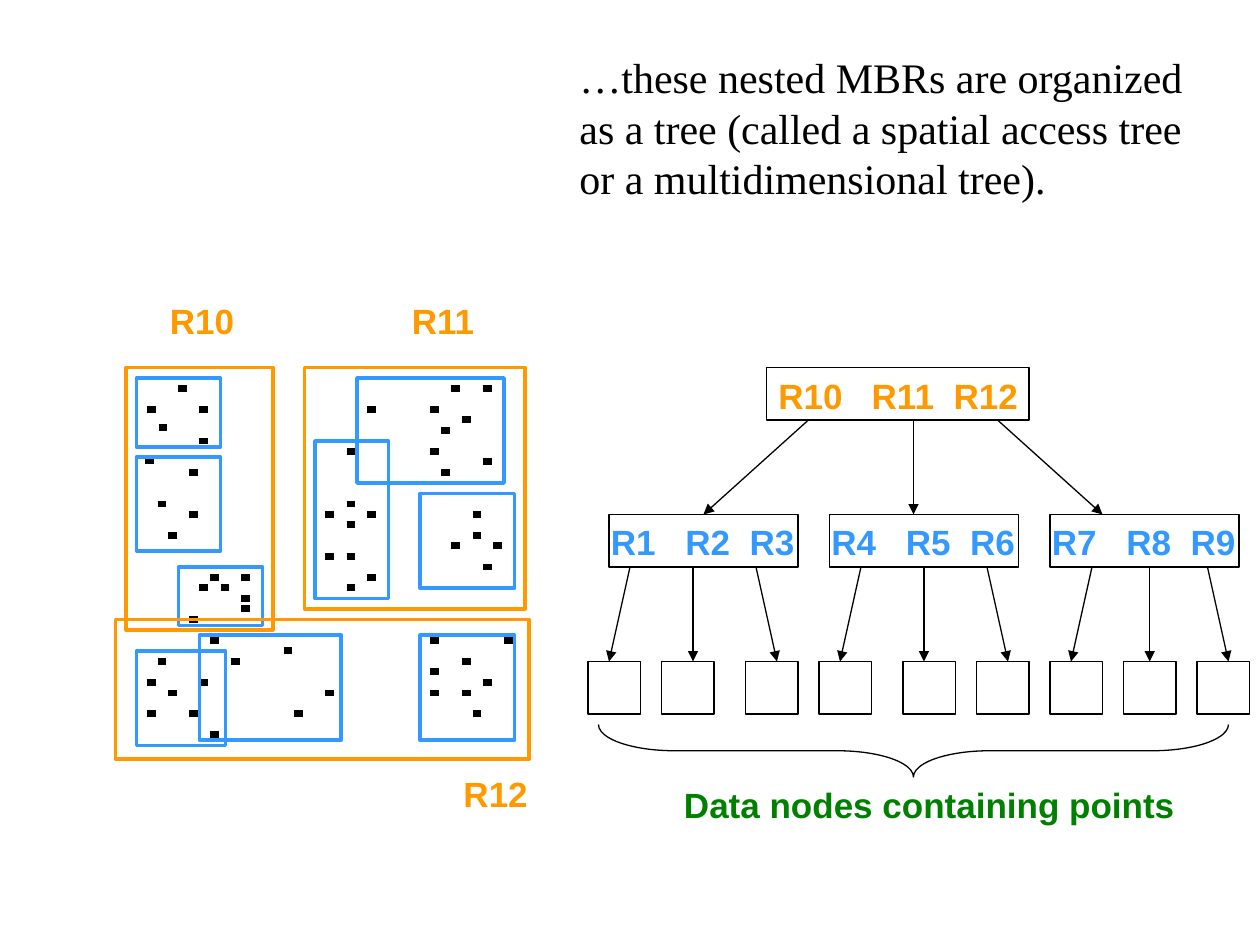
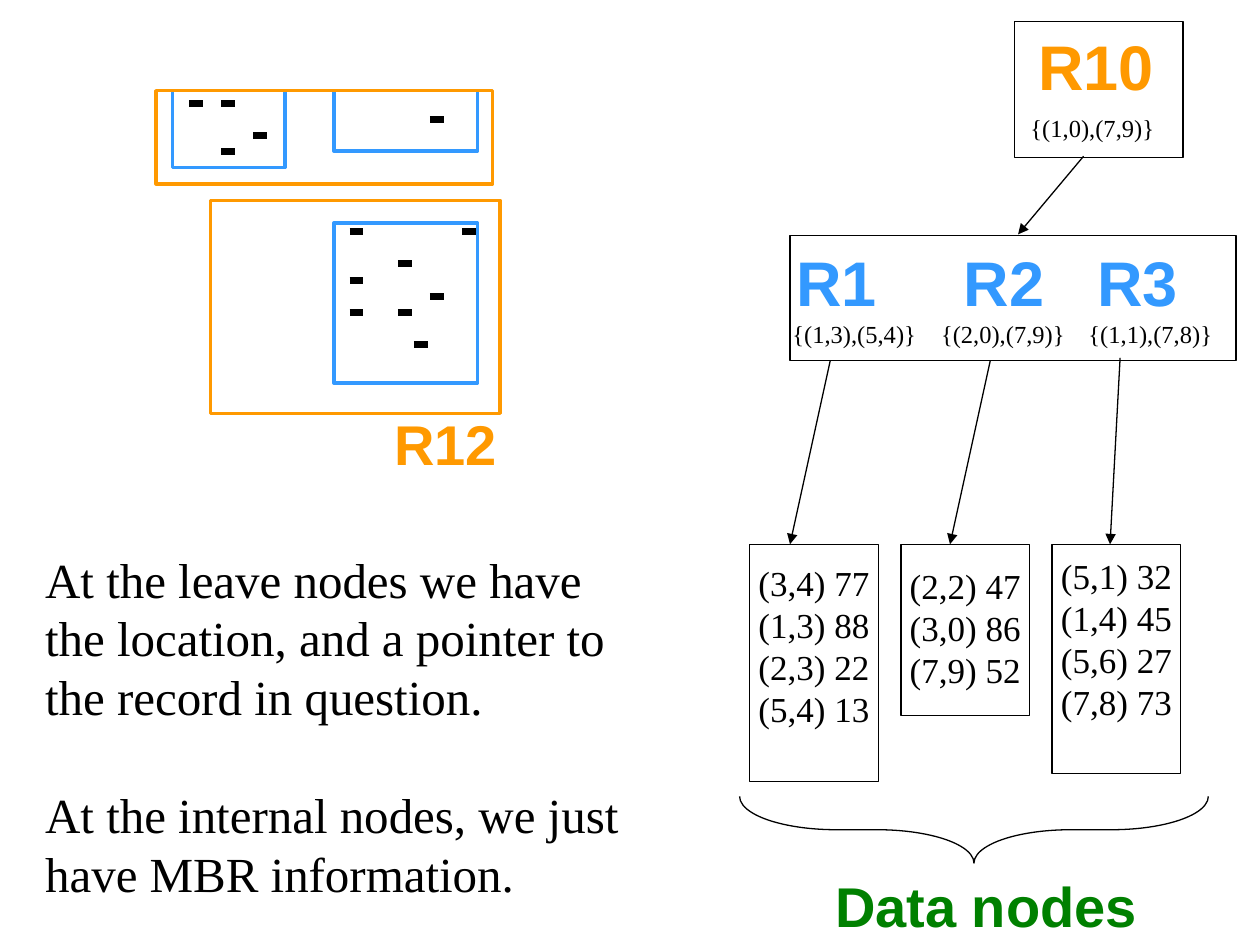
import pptx
import pptx.dml.color
import pptx.enum.shapes
import pptx.enum.text
import pptx.oxml
import pptx.oxml.ns
import pptx.util

SHAPE = pptx.enum.shapes.MSO_SHAPE
ANCHOR = pptx.enum.text.MSO_ANCHOR
CENTER = pptx.enum.text.PP_ALIGN.CENTER
INCH = pptx.util.Inches
ORANGE, BLUE, GREEN, BLACK = "FF9900", "3399FF", "008000", "000000"
SANS, SERIF = "Arial", "Times New Roman"
CELLS_PER_INCH = 12
POINT_STEP = 0.51 / 4

POINT_ROWS = {
    37: [17, 43, 46], 39: [14, 19, 35, 41], 40: [44], 40.7: [15.1], 41: [42],
    42: [19], 43: [33, 41], 43.9: [13.8], 44: [46], 45: [18, 42],
    48: [15, 33], 49: [18, 31, 35, 45], 50: [33], 51: [16, 45], 52: [43, 47],
    53: [31, 33], 54: [46], 55: [20, 23, 35], 56: [19, 21, 33], 57: [23],
    58: [23], 59: [18], 61: [20, 41, 48], 62: [27], 63: [15, 22, 44],
    64: [41], 65: [14, 19, 46], 66: [16, 31, 41, 44], 68: [14, 18, 28, 45],
    70: [20],
}
INNER_MBRS = [
    (30, 42, 7, 15), (34, 36, 14, 10), (13, 36, 8, 6.6), (13, 43.5, 8, 9),
    (13, 62, 8.5, 9), (19, 60.5, 13.5, 10), (17, 54, 8, 5.6),
    (40, 60.5, 9, 10), (40, 47, 9, 9),
]
OUTER_MBRS = [(29, 35, 21, 23), (12, 35, 14, 25), (11, 59, 39.4, 13.3)]
ZOOMED_ROWS = {
    0: [0, 2], 1: [15], 2: [4], 3: [2], 8: [10, 17], 10: [13], 11: [10],
    12: [15], 13: [10, 13], 15: [14],
}


def color(value):
    """Turn a hex string into a colour."""
    return pptx.dml.color.RGBColor.from_string(value)


def grid(*cells):
    """Convert grid cells to inches."""
    return [n / CELLS_PER_INCH for n in cells]


def outline(slide, box, line=BLACK, width=0.75, kind=SHAPE.RECTANGLE):
    """Draw an unfilled shape."""
    sp = slide.shapes.add_shape(kind, *map(INCH, box))
    sp.shadow.inherit = False
    sp.fill.background()
    sp.line.color.rgb = color(line)
    sp.line.width = pptx.util.Pt(width)
    return sp


def brace(slide, left, top, width, height):
    """Draw a brace that opens upward over the given area."""
    box = (left + (width - height) / 2, top + (height - width) / 2, height, width)
    sp = outline(slide, box, kind=SHAPE.LEFT_BRACE)
    sp.adjustments[0] = 1.45
    sp.rotation = 270


def line(slide, start, end, width=0.75, arrow=True):
    """Draw a straight black line, with an arrowhead if wanted."""
    cxn = slide.shapes.add_connector(
        pptx.enum.shapes.MSO_CONNECTOR.STRAIGHT, *map(INCH, (*start, *end)))
    cxn.line.color.rgb = color(BLACK)
    cxn.line.width = pptx.util.Pt(width)
    if arrow:
        head = pptx.oxml.parse_xml(
            f'<a:tailEnd {pptx.oxml.ns.nsdecls("a")} type="triangle"/>')
        cxn.line._get_or_add_ln().append(head)
    effects = pptx.oxml.parse_xml(f'<a:effectLst {pptx.oxml.ns.nsdecls("a")}/>')
    cxn._element.spPr.append(effects)


def points(slide, rows, step, origin, length):
    """Draw data points as short thick dashes on a grid."""
    for row, cols in rows.items():
        for col in cols:
            x, y = origin[0] + col * step, origin[1] + row * step
            line(slide, (x, y), (x + length, y), 4, arrow=False)


def set_tabs(p, stops):
    """Add left tab stops, in inches, to a paragraph."""
    tabs = "".join(f'<a:tab pos="{INCH(s)}" algn="l"/>' for s in stops)
    p._p.get_or_add_pPr().append(pptx.oxml.parse_xml(
        f'<a:tabLst {pptx.oxml.ns.nsdecls("a")}>{tabs}</a:tabLst>'))


def text(slide, box, content, size, ink=BLACK, font=SANS, wrap=True,
         align=None, anchor=ANCHOR.TOP, gap=0, tabs=()):
    """Add a text box with one format; sans text is bold."""
    tf = slide.shapes.add_textbox(*map(INCH, box)).text_frame
    tf.word_wrap = wrap
    tf.vertical_anchor = anchor
    tf.text = content
    for i, p in enumerate(tf.paragraphs):
        p.alignment = align
        if font == SERIF:
            p.line_spacing = pptx.util.Pt(size * 1.2)
        if i and gap:
            p.space_before = pptx.util.Pt(gap)
        if tabs:
            set_tabs(p, tabs)
        for r in p.runs:
            r.font.name = font
            r.font.size = pptx.util.Pt(size)
            r.font.bold = font == SANS
            r.font.color.rgb = color(ink)


def draw_tree(slide):
    """Draw the three-level tree of nested MBRs."""
    outline(slide, grid(73, 35, 25, 5))
    text(slide, (6.08, 2.92, 2.17, 0.43), "R10\tR11\tR12", 20, ORANGE,
         tabs=(0.74, 1.39))
    for start, end in ((77, 67), (87, 87), (95, 105)):
        line(slide, grid(start, 40), grid(end, 49))
    nodes = ((58, (60, 66, 72)), (79, (82, 88, 94)), (100, (104, 109.5, 115)))
    for i, (left, exits) in enumerate(nodes):
        outline(slide, grid(left, 49, 18, 5))
        label = "\t".join(f"R{3 * i + n}" for n in (1, 2, 3))
        text(slide, (4.75 + 1.75 * i, 4.08, 1.75, 0.43), label, 20, BLUE,
             tabs=(0.59, 1.1))
        for x, shift in zip(exits, (-2, 0, 2)):
            line(slide, grid(x, 54), grid(x + shift, 63))
    for left in (56, 63, 71, 78, 86, 93, 100, 107, 114):
        outline(slide, grid(left, 63, 5, 5))
    brace(slide, *grid(57, 69, 60, 5))
    text(slide, (5.33, 6.17, 4.42, 0.43), "Data nodes containing points", 20, GREEN)


def build_overview(slide):
    """Build the slide with all MBRs and their tree."""
    draw_tree(slide)
    points(slide, POINT_ROWS, 1 / CELLS_PER_INCH, (0, 0), 0.07)
    for boxes, ink in ((INNER_MBRS, BLUE), (OUTER_MBRS, ORANGE)):
        for box in boxes:
            outline(slide, grid(*box), ink, 2)
    for name, x, y in (("R10", 1.25, 2.33), ("R11", 3.17, 2.33), ("R12", 3.58, 6.08)):
        text(slide, (x, y, 0.71, 0.43), name, 20, ORANGE, wrap=False)
    text(slide, (4.5, 0.36, 5.31, 1.3),
         "…these nested MBRs are organized as a tree (called a spatial access "
         "tree or a multidimensional tree).", 24, font=SERIF, anchor=ANCHOR.MIDDLE)


def build_detail(slide):
    """Build the slide with the contents of one branch."""
    points(slide, ZOOMED_ROWS, POINT_STEP, (1.5, 0.82), 0.11)
    for box in ((1.37, 0.72, 0.89, 0.61), (2.65, 1.77, 1.14, 1.27),
                (2.65, 0.72, 1.14, 0.48)):
        outline(slide, box, BLUE, 2)
    for box in ((1.24, 0.72, 2.67, 0.74), (1.67, 1.59, 2.3, 1.69)):
        outline(slide, box, ORANGE, 2)
    text(slide, (3.03, 3.2, 1.02, 0.64), "R12", 32, ORANGE, wrap=False)

    outline(slide, (8.05, 0.17, 1.34, 1.08))
    text(slide, (8.14, 0.17, 1.34, 0.71), "R10", 36, ORANGE)
    text(slide, (8.08, 0.85, 1.18, 0.33), "{(1,0),(7,9)}", 14, font=SERIF,
         wrap=False, align=CENTER)
    outline(slide, (6.27, 1.87, 3.54, 0.99))
    text(slide, (6.22, 1.88, 3.46, 0.7), "R1\tR2\tR3", 36, BLUE, tabs=(1.33, 2.39))
    text(slide, (6.19, 2.48, 3.81, 0.33),
         "{(1,3),(5,4)}\t{(2,0),(7,9)}\t{(1,1),(7,8)}", 14, font=SERIF,
         tabs=(1.18, 2.35))
    for start, end in (((8.6, 1.24), (8.08, 1.86)), ((6.59, 2.86), (6.27, 4.32)),
                       ((7.86, 2.86), (7.54, 4.32)), ((8.89, 2.84), (8.81, 4.32))):
        line(slide, start, end)

    data_nodes = (
        (1.88, 4.41, "(3,4) 77\n(1,3) 88\n(2,3) 22\n(5,4) 13"),
        (1.36, 4.43, "(2,2) 47\n(3,0) 86\n(7,9) 52"),
        (1.82, 4.35, "(5,1) 32\n(1,4) 45\n(5,6) 27\n(7,8) 73"),
    )
    for i, (height, top, records) in enumerate(data_nodes):
        left = 5.95 + 1.2 * i
        outline(slide, (left, 4.32, 1.02, height))
        text(slide, (left - 0.03, top, 1.08, 1.43), records, 20, font=SERIF,
             wrap=False, align=CENTER)
    brace(slide, 5.87, 6.32, 3.72, 0.53)
    text(slide, (6.53, 6.87, 2.76, 0.63), "Data nodes", 32, GREEN)
    text(slide, (0.26, 4.31, 4.78, 2.9),
         "At the leave nodes we have the location, and a pointer to the record "
         "in question.\nAt the internal nodes, we just have MBR information.",
         28, font=SERIF, gap=33.6)


def main():
    """Build and save the presentation."""
    prs = pptx.Presentation()
    prs.slide_width, prs.slide_height = INCH(10), INCH(7.5)
    for build in (build_overview, build_detail):
        build(prs.slides.add_slide(prs.slide_layouts[6]))
    prs.save("out.pptx")


main()
